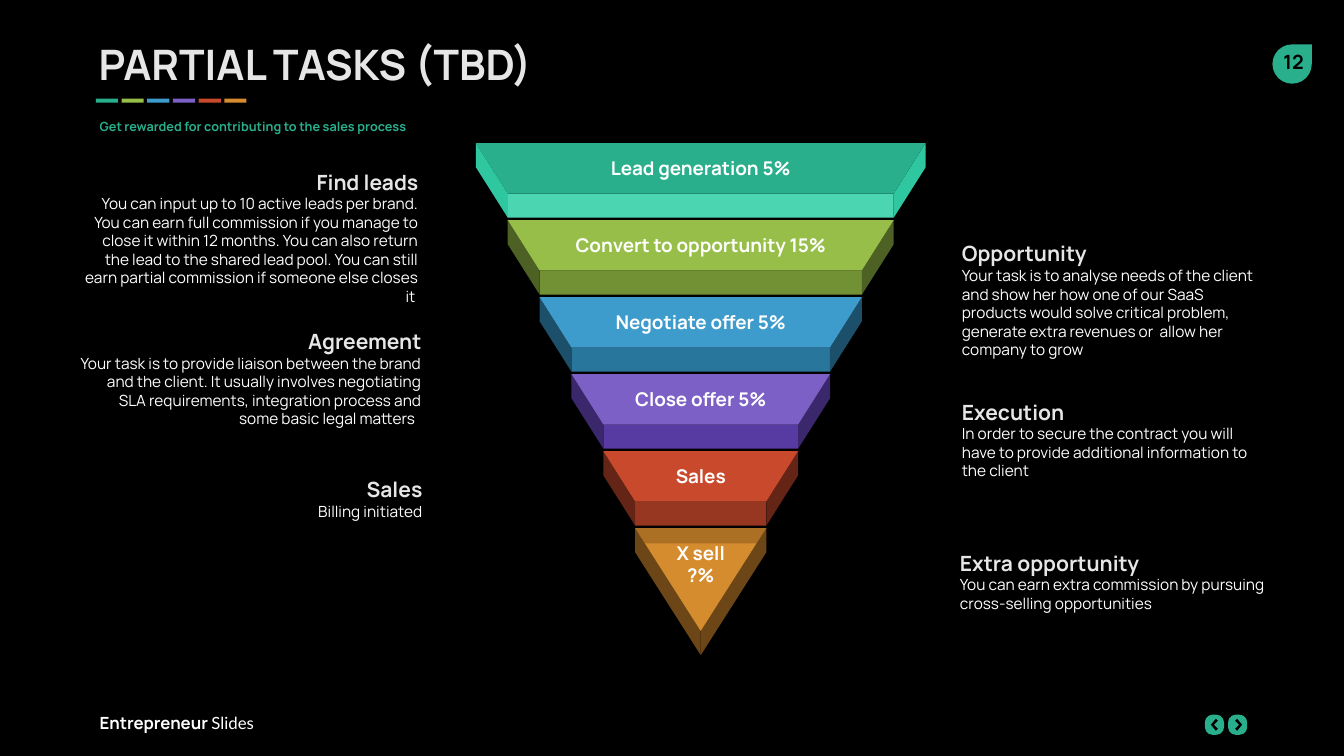
from dataclasses import dataclass

from lxml.etree import SubElement
from pptx import Presentation
from pptx.dml.color import RGBColor
from pptx.enum.shapes import MSO_SHAPE as Preset
from pptx.enum.text import PP_ALIGN as Align
from pptx.oxml.ns import qn
from pptx.util import Inches, Pt


@dataclass(frozen=True)
class Theme:
    font: str = "Manrope"
    footer_font: str = "Lato"
    black: str = "000000"
    white: str = "FFFFFF"
    heading: str = "E7E6E6"
    accent: str = "29AF8C"
    title_size: float = 30
    heading_size: float = 15
    number_size: float = 14
    tier_size: float = 13.5
    footer_size: float = 12
    body_size: float = 11
    subtitle_size: float = 9


@dataclass(frozen=True)
class Line:
    text: str
    size: float
    color: str
    bold: bool = True


@dataclass(frozen=True)
class Tier:
    lines: tuple
    face: str
    side: str
    front: str


@dataclass(frozen=True)
class Note:
    left: float
    top: float
    width: float
    height: float
    heading: str
    body: str
    align: Align


THEME = Theme()
DEFAULT_INSETS = (0.1, 0.05, 0.1, 0.05)
NOTE_INSETS = (0, 0.07, 0, 0)
TIER_INSETS = (0.04, 0, 0.04, 0)

CENTER, FUNNEL_TOP = 6.95, 1.42
TOP_HALF, TIP_HALF = 2.23, 0.65
PITCH, FACE_HEIGHT, TIP_HEIGHT, DEPTH = 0.764, 0.5, 1.02, 0.24
SHADE_HEIGHT, SHADE_OPACITY = 0.15, 40

TIERS = (
    Tier(("Lead generation 5%",), "29AF8C", "2FC79F", "4CD5B1"),
    Tier(("Convert to opportunity 15%",), "97BE49", "4C6123", "729134"),
    Tier(("Negotiate offer 5%",), "3D9CCC", "1C4F69", "29769D"),
    Tier(("Close offer 5%",), "7C60C6", "3A276C", "573AA2"),
    Tier(("Sales",), "C9492C", "642416", "973721"),
    Tier(("X sell", "?%"), "D58C2E", "6C4616", "6C4616"),
)

NOTES = (
    Note(0.76, 1.61, 3.39, 1.25, "Find leads",
         "You can input up to 10 active leads per brand. You can earn full commission "
         "if you manage to close it within 12 months. You can also return the lead to "
         "the shared lead pool. You can still earn partial commission if someone else "
         "closes it ", Align.RIGHT),
    Note(0.77, 3.19, 3.41, 1.06, "Agreement",
         "Your task is to provide liaison between the brand and the client. It usually "
         "involves negotiating SLA requirements, integration process and some basic "
         "legal matters  ", Align.RIGHT),
    Note(2.43, 4.66, 1.76, 0.5, "Sales", "Billing initiated", Align.RIGHT),
    Note(9.54, 2.32, 3.04, 1.25, "Opportunity",
         "Your task is to analyse needs of the client and show her how one of our SaaS "
         "products would solve critical problem, generate extra revenues or  allow her "
         "company to grow", Align.LEFT),
    Note(9.54, 3.89, 3.04, 0.88, "Execution",
         "In order to secure the contract you will have to provide additional "
         "information to the client", Align.LEFT),
    Note(9.52, 5.39, 3.05, 0.69, "Extra opportunity",
         "You can earn extra commission by pursuing cross-selling opportunities",
         Align.LEFT),
)


def paint(shape, color: str):
    shape.shadow.inherit = False
    shape.fill.solid()
    shape.fill.fore_color.rgb = RGBColor.from_string(color)
    shape.line.fill.background()
    return shape


def add_preset(shapes, preset: Preset, left: float, top: float, width: float,
               height: float, color: str):
    box = map(Inches, (left, top, width, height))
    return paint(shapes.add_shape(preset, *box), color)


def add_polygon(shapes, points: list, color: str):
    start, *rest = [(Inches(x), Inches(y)) for x, y in points]
    builder = shapes.build_freeform(*start)
    builder.add_line_segments(rest, close=True)
    return paint(builder.convert_to_shape(), color)


def add_text(shapes, box: tuple, lines: list, align: Align = Align.LEFT,
             insets: tuple = DEFAULT_INSETS, wrap: bool = True):
    textbox = shapes.add_textbox(*map(Inches, box))
    frame = textbox.text_frame
    frame.word_wrap = wrap
    (frame.margin_left, frame.margin_top,
     frame.margin_right, frame.margin_bottom) = map(Inches, insets)
    for index, line in enumerate(lines):
        paragraph = frame.add_paragraph() if index else frame.paragraphs[0]
        paragraph.text = line.text
        paragraph.alignment = align
        paragraph.font.name = THEME.font
        paragraph.font.size = Pt(line.size)
        paragraph.font.bold = line.bold
        paragraph.font.color.rgb = RGBColor.from_string(line.color)
    return textbox


def add_tier(slide, index: int, tier: Tier) -> None:
    shapes = slide.shapes.add_group_shape().shapes
    step = (TOP_HALF - TIP_HALF) / (len(TIERS) - 1)
    is_tip = index == len(TIERS) - 1
    half = TOP_HALF - step * index
    lower = 0 if is_tip else half - step
    top = FUNNEL_TOP + PITCH * index
    bottom = top + (TIP_HEIGHT if is_tip else FACE_HEIGHT)

    if not is_tip:
        add_preset(shapes, Preset.RECTANGLE, CENTER - lower, bottom, 2 * lower, DEPTH,
                   tier.front)
    for side in (-1, 1):
        outer, inner = CENTER + side * half, CENTER + side * lower
        add_polygon(shapes, [(outer, top), (outer, top + DEPTH),
                             (inner, bottom + DEPTH), (inner, bottom)], tier.side)
    add_polygon(shapes, [(CENTER - half, top), (CENTER + half, top),
                         (CENTER + lower, bottom), (CENTER - lower, bottom)], tier.face)
    lines = [Line(text, THEME.tier_size, THEME.white) for text in tier.lines]
    add_text(shapes, (CENTER - 1.46, top + 0.13, 2.92, 0.28), lines, Align.CENTER,
             TIER_INSETS)
    if is_tip:
        edge = half * (1 - SHADE_HEIGHT / TIP_HEIGHT)
        shade = add_polygon(shapes, [(CENTER - half, top), (CENTER + half, top),
                                     (CENTER + edge, top + SHADE_HEIGHT),
                                     (CENTER - edge, top + SHADE_HEIGHT)], tier.side)
        color = shade.fill._xPr.find(qn("a:solidFill"))[0]
        SubElement(color, qn("a:alpha"), val=str(SHADE_OPACITY * 1000))


def add_navigation(slide, left: float, direction: int) -> None:
    button = add_preset(slide.shapes, Preset.ROUNDED_RECTANGLE, left, 7.09, 0.19, 0.2,
                        THEME.accent)
    button.adjustments[0] = 0.4
    center = left + 0.1
    chevron = [(0.04, 7.19), (-0.01, 7.13), (-0.03, 7.15),
               (0.01, 7.19), (-0.03, 7.23), (-0.01, 7.25)]
    add_polygon(slide.shapes, [(center + direction * x, y) for x, y in chevron],
                THEME.black)


def add_footer(slide) -> None:
    footer = add_text(slide.shapes, (0.89, 7.02, 2, 0.3),
                      [Line("Entrepreneur ", THEME.footer_size, THEME.white)])
    run = footer.text_frame.paragraphs[0].add_run()
    run.text = "Slides"
    run.font.name = THEME.footer_font
    run.font.bold = False
    add_navigation(slide, 11.95, -1)
    add_navigation(slide, 12.18, 1)


def add_header(slide) -> None:
    add_preset(slide.shapes, Preset.TEAR, 12.62, 0.44, 0.39, 0.39, THEME.accent)
    add_text(slide.shapes, (12.59, 0.45, 0.48, 0.34),
             [Line("12", THEME.number_size, THEME.black)], Align.CENTER, wrap=False)
    add_text(slide.shapes, (0.89, 1.13, 4.15, 0.25),
             [Line("Get rewarded for contributing to the sales process",
                   THEME.subtitle_size, THEME.accent)])
    add_text(slide.shapes, (0.88, 0.33, 6.76, 0.61),
             [Line("PARTIAL TASKS (TBD)", THEME.title_size, THEME.heading)])
    dashes = slide.shapes.add_group_shape().shapes
    for index, tier in enumerate(TIERS):
        add_preset(dashes, Preset.RECTANGLE, 0.95 + 0.255 * index, 0.98, 0.22, 0.04,
                   tier.face)


def main() -> None:
    presentation = Presentation()
    presentation.slide_width, presentation.slide_height = Inches(13.33), Inches(7.5)
    slide = presentation.slides.add_slide(presentation.slide_layouts[6])
    slide.background.fill.solid()
    slide.background.fill.fore_color.rgb = RGBColor.from_string(THEME.black)
    add_footer(slide)
    for note in NOTES:
        add_text(slide.shapes, (note.left, note.top, note.width, note.height),
                 [Line(note.heading, THEME.heading_size, THEME.heading),
                  Line(note.body, THEME.body_size, THEME.white, bold=False)],
                 note.align, NOTE_INSETS)
    for index, tier in enumerate(TIERS):
        add_tier(slide, index, tier)
    add_header(slide)
    presentation.save("out.pptx")


if __name__ == "__main__":
    main()
